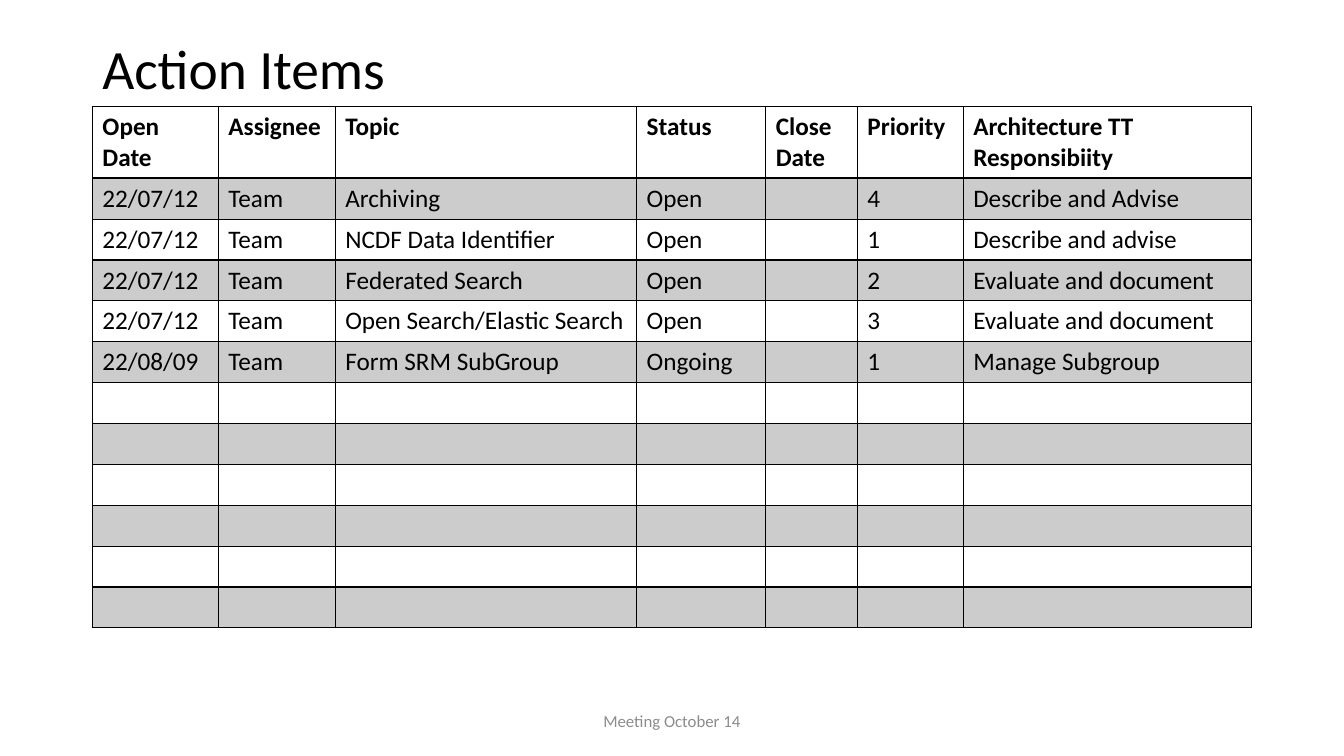
import pptx
import pptx.util
import pptx.dml.color
import pptx.enum.text
import pptx.oxml
import pptx.oxml.ns

Pt = pptx.util.Pt
Align = pptx.enum.text.PP_ALIGN
Anchor = pptx.enum.text.MSO_ANCHOR

# Content
TITLE = "Action Items"
FOOTER = "Meeting October 14"
HEADS = ["Open Date", "Assignee", "Topic", "Status", "Close\nDate",
         "Priority", "Architecture TT Responsibiity"]
ITEMS = [
    ("22/07/12", "Team", "Archiving", "Open", "", "4", "Describe and Advise"),
    ("22/07/12", "Team", "NCDF Data Identifier", "Open", "", "1", "Describe and advise"),
    ("22/07/12", "Team", "Federated Search", "Open", "", "2", "Evaluate and document"),
    ("22/07/12", "Team", "Open Search/Elastic Search", "Open", "", "3", "Evaluate and document"),
    ("22/08/09", "Team", "Form SRM SubGroup", "Ongoing", "", "1", "Manage Subgroup"),
]
SPARE = 6  # empty rows left for new items

# Theme and layout
THEME = {"font": "Calibri", "ink": "000000", "mute": "8C8C8C",
         "title": 39.6, "body": 18, "foot": 12, "shade": 20,
         "thin": 1, "thick": 2}
LEFT, WIDTH, TOP = 66, 828, 76.3
COLS = [90, 83.5, 215.3, 92.2, 65.5, 75.6, 205.9]
HEAD_H, ROW_H = 51, 29.2


def style(frame, size, color, bold=False):
    for para in frame.paragraphs:
        for run in para.runs:
            font = run.font
            font.name, font.size, font.bold = THEME["font"], Pt(size), bold
            font.color.rgb = pptx.dml.color.RGBColor.from_string(color)


def label(slide, text, box, size, color, align):
    frame = slide.shapes.add_textbox(*map(Pt, box)).text_frame
    frame.word_wrap = True
    frame.vertical_anchor = Anchor.MIDDLE
    frame.text = text
    frame.paragraphs[0].alignment = align
    style(frame, size, color)
    return frame.paragraphs[0]


def edge(cell, base):
    props = cell._tc.get_or_add_tcPr()
    for side in "LRTB":
        wide = base if side == "B" else THEME["thin"]
        props.append(pptx.oxml.parse_xml(
            f'<a:ln{side} {pptx.oxml.ns.nsdecls("a")} w="{Pt(wide)}"><a:solidFill>'
            f'<a:srgbClr val="{THEME["ink"]}"/></a:solidFill></a:ln{side}>'))


def shade(cell):
    cell.fill.solid()
    cell.fill.fore_color.rgb = pptx.dml.color.RGBColor.from_string(THEME["ink"])
    tint = cell._tc.tcPr.find(".//" + pptx.oxml.ns.qn("a:solidFill") + "[last()]")
    tint = cell._tc.tcPr.findall(pptx.oxml.ns.qn("a:solidFill"))[0][0]
    tint.append(pptx.oxml.parse_xml(
        f'<a:alpha {pptx.oxml.ns.nsdecls("a")} val="{THEME["shade"] * 1000}"/>'))


def grid(slide):
    rows = [HEADS, *ITEMS] + [[""] * len(HEADS)] * SPARE
    high = HEAD_H + ROW_H * (len(rows) - 1)
    table = slide.shapes.add_table(
        len(rows), len(COLS), Pt(LEFT), Pt(TOP), Pt(WIDTH), Pt(high)).table
    table.horz_banding = False
    for col, wide in zip(table.columns, COLS):
        col.width = Pt(wide)
    for r, row in enumerate(rows):
        head = r == 0
        table.rows[r].height = Pt(HEAD_H if head else ROW_H)
        for c, text in enumerate(row):
            cell = table.cell(r, c)
            cell.text_frame.text = text
            style(cell.text_frame, THEME["body"], THEME["ink"], head)
            edge(cell, THEME["thick"] if head else THEME["thin"])
            if r % 2:
                shade(cell)
            else:
                cell.fill.background()


def main():
    deck = pptx.Presentation()
    deck.slide_width, deck.slide_height = Pt(960), Pt(540)
    slide = deck.slides.add_slide(deck.slide_layouts[6])

    # Title, table, footer
    head = label(slide, TITLE, (LEFT, 28.8, WIDTH, 44), THEME["title"],
                 THEME["ink"], Align.LEFT)
    head.line_spacing = 0.9
    grid(slide)
    label(slide, FOOTER, (318, 500.5, 324, 28.8), THEME["foot"],
          THEME["mute"], Align.CENTER)
    deck.save("out.pptx")


if __name__ == "__main__":
    main()
